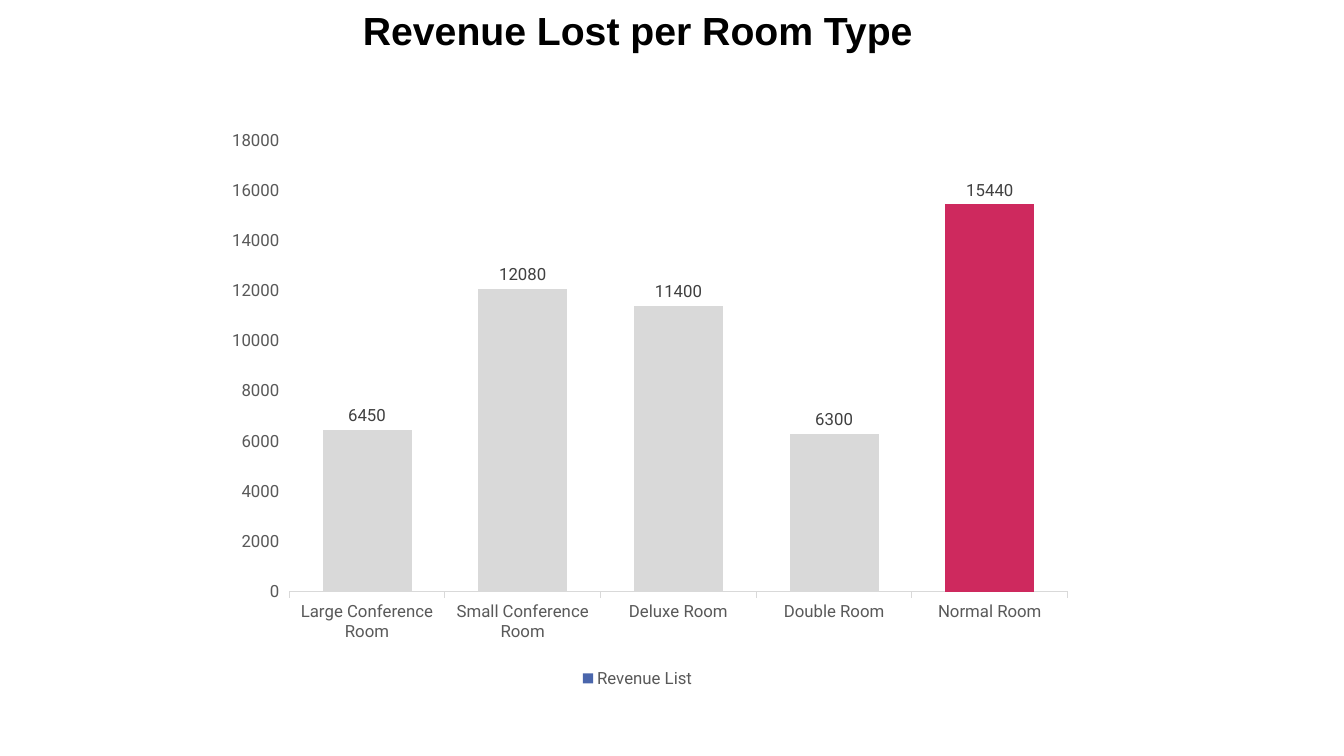
from lxml.etree import SubElement
from pptx import Presentation
from pptx.chart.data import CategoryChartData
from pptx.dml.color import RGBColor
from pptx.enum.chart import XL_CHART_TYPE, XL_LABEL_POSITION, XL_LEGEND_POSITION, XL_TICK_MARK
from pptx.enum.text import MSO_ANCHOR, MSO_AUTO_SIZE, PP_ALIGN
from pptx.oxml.ns import qn
from pptx.util import Cm, Pt

TITLE = "Revenue Lost per Room Type"
SERIES_NAME = "Revenue List"
REVENUE_LOST = {
    "Large Conference Room": 6450,
    "Small Conference Room": 12080,
    "Deluxe Room": 11400,
    "Double Room": 6300,
    "Normal Room": 15440,
}
PLOT_LAYOUT = {
    "layoutTarget": "inner",
    "xMode": "edge",
    "yMode": "edge",
    "x": 0.095,
    "y": 0.039,
    "w": 0.905,
    "h": 0.786,
}
SERIES_COLOR = "4A66AC"
BAR_COLOR = "D9D9D9"
HIGHLIGHT_COLOR = "CE295E"
AXIS_TEXT_COLOR = "595959"
LABEL_COLOR = "404040"


def color(hex_string):
    return RGBColor.from_string(hex_string)


def format_font(font, name, size, hex_string):
    font.name = name
    font.size = Pt(size)
    font.color.rgb = color(hex_string)


def fill_solid(target, hex_string):
    target.format.fill.solid()
    target.format.fill.fore_color.rgb = color(hex_string)


def add_title(slide):
    title = slide.shapes.title
    title.left, title.top, title.width, title.height = Cm(6.15), Cm(0.28), Cm(19.84), Cm(1.8)
    text_frame = title.text_frame
    text_frame.text = TITLE
    text_frame.word_wrap = True
    text_frame.auto_size = MSO_AUTO_SIZE.SHAPE_TO_FIT_TEXT
    text_frame.vertical_anchor = MSO_ANCHOR.TOP
    text_frame.margin_left = text_frame.margin_right = Cm(0)
    text_frame.margin_top = text_frame.margin_bottom = Cm(0)
    paragraph = text_frame.paragraphs[0]
    paragraph.alignment = PP_ALIGN.CENTER
    paragraph.line_spacing = 0.9
    font = paragraph.runs[0].font
    format_font(font, "Arial", 28, "000000")
    font.bold = True


def set_plot_layout(chart):
    plot_area = chart.element.find(".//" + qn("c:plotArea"))
    for layout in plot_area.findall(qn("c:layout")):
        plot_area.remove(layout)
    layout = SubElement(plot_area, qn("c:layout"))
    plot_area.insert(0, layout)
    manual_layout = SubElement(layout, qn("c:manualLayout"))
    for name, value in PLOT_LAYOUT.items():
        SubElement(manual_layout, qn("c:" + name)).set("val", str(value))


def add_revenue_chart(slide):
    chart_data = CategoryChartData()
    chart_data.categories = list(REVENUE_LOST)
    chart_data.add_series(SERIES_NAME, list(REVENUE_LOST.values()))
    chart = slide.shapes.add_chart(
        XL_CHART_TYPE.COLUMN_CLUSTERED, Cm(5.23), Cm(2.97), Cm(21.69), Cm(14.48), chart_data
    ).chart
    format_font(chart.font, "Roboto", 10, "000000")
    chart.has_title = False
    set_plot_layout(chart)

    chart.has_legend = True
    chart.legend.position = XL_LEGEND_POSITION.BOTTOM
    chart.legend.include_in_layout = False
    format_font(chart.legend.font, "Roboto", 12, AXIS_TEXT_COLOR)

    for axis in (chart.category_axis, chart.value_axis):
        axis.has_major_gridlines = False
        axis.major_tick_mark = XL_TICK_MARK.OUTSIDE
        axis.minor_tick_mark = XL_TICK_MARK.NONE
        format_font(axis.tick_labels.font, "Roboto", 12, AXIS_TEXT_COLOR)
    chart.category_axis.format.line.color.rgb = color(BAR_COLOR)
    chart.category_axis.format.line.width = Pt(0.75)
    chart.value_axis.format.line.fill.background()
    chart.value_axis.minimum_scale = 0
    chart.value_axis.maximum_scale = 18000
    chart.value_axis.major_unit = 2000

    plot = chart.plots[0]
    plot.gap_width = 75
    plot.vary_by_categories = False
    series = plot.series[0]
    fill_solid(series, SERIES_COLOR)
    highest = max(REVENUE_LOST.values())
    for index, value in enumerate(REVENUE_LOST.values()):
        fill_solid(series.points[index], HIGHLIGHT_COLOR if value == highest else BAR_COLOR)
    labels = series.data_labels
    labels.show_value = True
    labels.position = XL_LABEL_POSITION.OUTSIDE_END
    format_font(labels.font, "Roboto", 12, LABEL_COLOR)


def main():
    presentation = Presentation()
    presentation.slide_width = Cm(33.87)
    presentation.slide_height = Cm(19.05)
    slide = presentation.slides.add_slide(presentation.slide_layouts[5])
    slide.background.fill.solid()
    slide.background.fill.fore_color.rgb = color("FFFFFF")
    add_revenue_chart(slide)
    add_title(slide)
    presentation.save("out.pptx")


if __name__ == "__main__":
    main()
